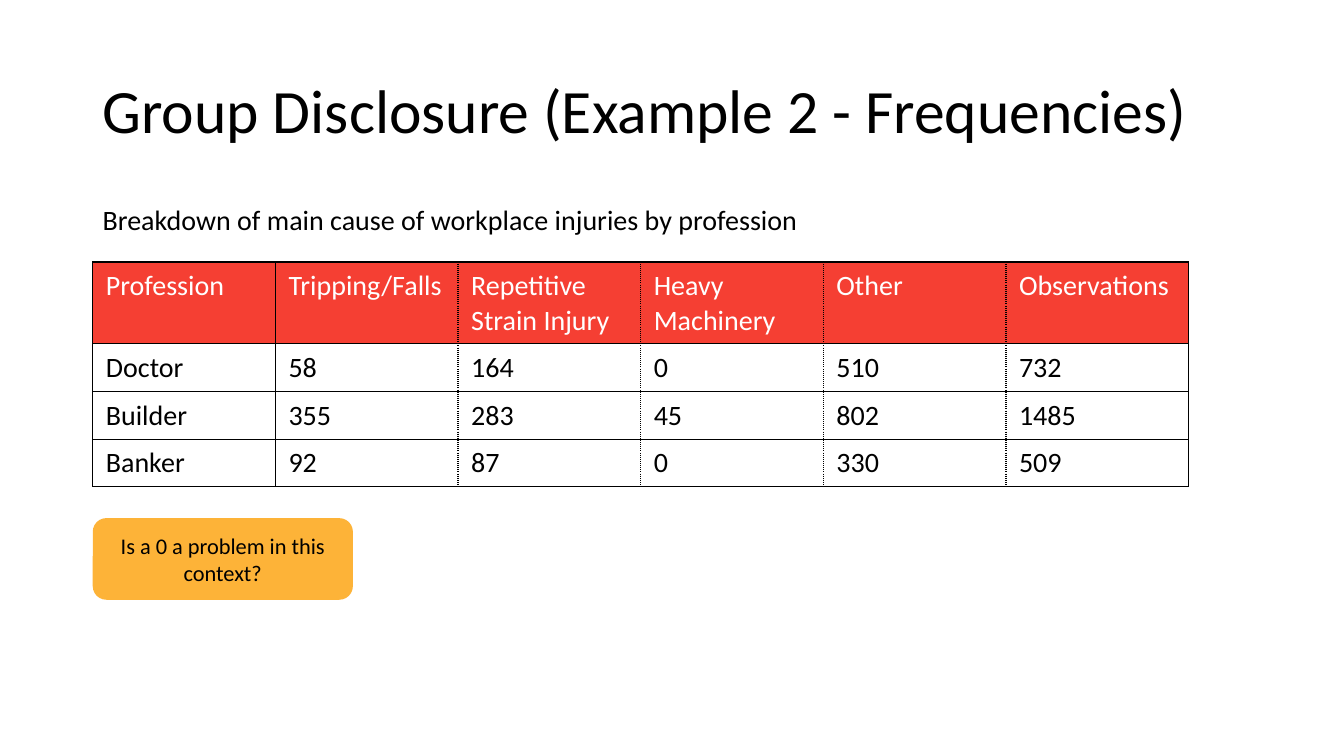
from lxml.etree import SubElement
from pptx import Presentation
from pptx.dml.color import RGBColor
from pptx.enum.shapes import MSO_SHAPE
from pptx.enum.text import MSO_ANCHOR, PP_ALIGN
from pptx.oxml.ns import qn
from pptx.util import Inches, Pt

BLACK = RGBColor(0x00, 0x00, 0x00)
WHITE = RGBColor(0xFF, 0xFF, 0xFF)
RED = RGBColor(0xF5, 0x3F, 0x33)
AMBER = RGBColor(0xFD, 0xB3, 0x38)
FONT = "Calibri"
LEFT = 0.92
HEAD, ROW = 0.81, 0.47
ROWS = [
    ["Profession", "Tripping/Falls", "Repetitive Strain Injury",
     "Heavy Machinery", "Other", "Observations"],
    ["Doctor", "58", "164", "0", "510", "732"],
    ["Builder", "355", "283", "45", "802", "1485"],
    ["Banker", "92", "87", "0", "330", "509"],
]


def write(frame, text, size, color=BLACK):
    frame.word_wrap = True
    par = frame.paragraphs[0]
    par.text = text
    font = par.font
    font.name, font.size, font.bold = FONT, Pt(size), False
    font.color.rgb = color
    return par


def add_text(slide, box, text, size, anchor):
    frame = slide.shapes.add_textbox(*map(Inches, box)).text_frame
    frame.vertical_anchor = anchor
    par = write(frame, text, size)
    par.line_spacing = 0.9
    return par


def add_edge(cell, side, dash):
    line = SubElement(cell._tc.get_or_add_tcPr(), qn(f"a:ln{side}"), w=str(Pt(1)))
    fill = SubElement(line, qn("a:solidFill"))
    SubElement(fill, qn("a:srgbClr"), val=str(BLACK))
    SubElement(line, qn("a:prstDash"), val=dash)


def fill_cell(cell, text, head, edges):
    cell.margin_left = cell.margin_right = Inches(0.13)
    cell.margin_top = cell.margin_bottom = Inches(0.07)
    for side, dash in zip("LRTB", edges):
        add_edge(cell, side, dash)
    if head:
        cell.fill.solid()
        cell.fill.fore_color.rgb = RED
    else:
        cell.fill.background()
    write(cell.text_frame, text, 20, WHITE if head else BLACK)


def add_grid(slide, box):
    count = len(ROWS[0])
    table = slide.shapes.add_table(len(ROWS), count, *map(Inches, box)).table
    table.first_row = table.horz_banding = False
    for col in table.columns:
        col.width = Inches(box[2] / count)
    for r, row in enumerate(ROWS):
        table.rows[r].height = Inches(ROW if r else HEAD)
        for c, text in enumerate(row):
            left = "solid" if c < 2 else "sysDot"
            right = "solid" if c in (0, count - 1) else "sysDot"
            fill_cell(table.cell(r, c), text, r == 0, (left, right, "solid", "solid"))


def add_note(slide, box, text):
    note = slide.shapes.add_shape(MSO_SHAPE.ROUNDED_RECTANGLE, *map(Inches, box))
    note.shadow.inherit = False
    note.fill.solid()
    note.fill.fore_color.rgb = AMBER
    note.line.fill.background()
    note.text_frame.vertical_anchor = MSO_ANCHOR.MIDDLE
    write(note.text_frame, text, 16).alignment = PP_ALIGN.CENTER


def main():
    deck = Presentation()
    deck.slide_width, deck.slide_height = Inches(13.33), Inches(7.5)
    slide = deck.slides.add_slide(deck.slide_layouts[6])
    add_text(slide, (LEFT, 0.4, 11.5, 1.45),
             "Group Disclosure (Example 2 - Frequencies)", 44, MSO_ANCHOR.MIDDLE)
    lead = add_text(slide, (LEFT, 2, 11.5, 4.76),
                    "Breakdown of main cause of workplace injuries by profession",
                    20, MSO_ANCHOR.TOP)
    lead.space_before = Pt(10)
    add_grid(slide, (LEFT, 2.6, 10.87, HEAD + 3 * ROW))
    add_note(slide, (LEFT, 5.14, 2.58, 0.81), "Is a 0 a problem in this context?")
    deck.save("out.pptx")


if __name__ == "__main__":
    main()
